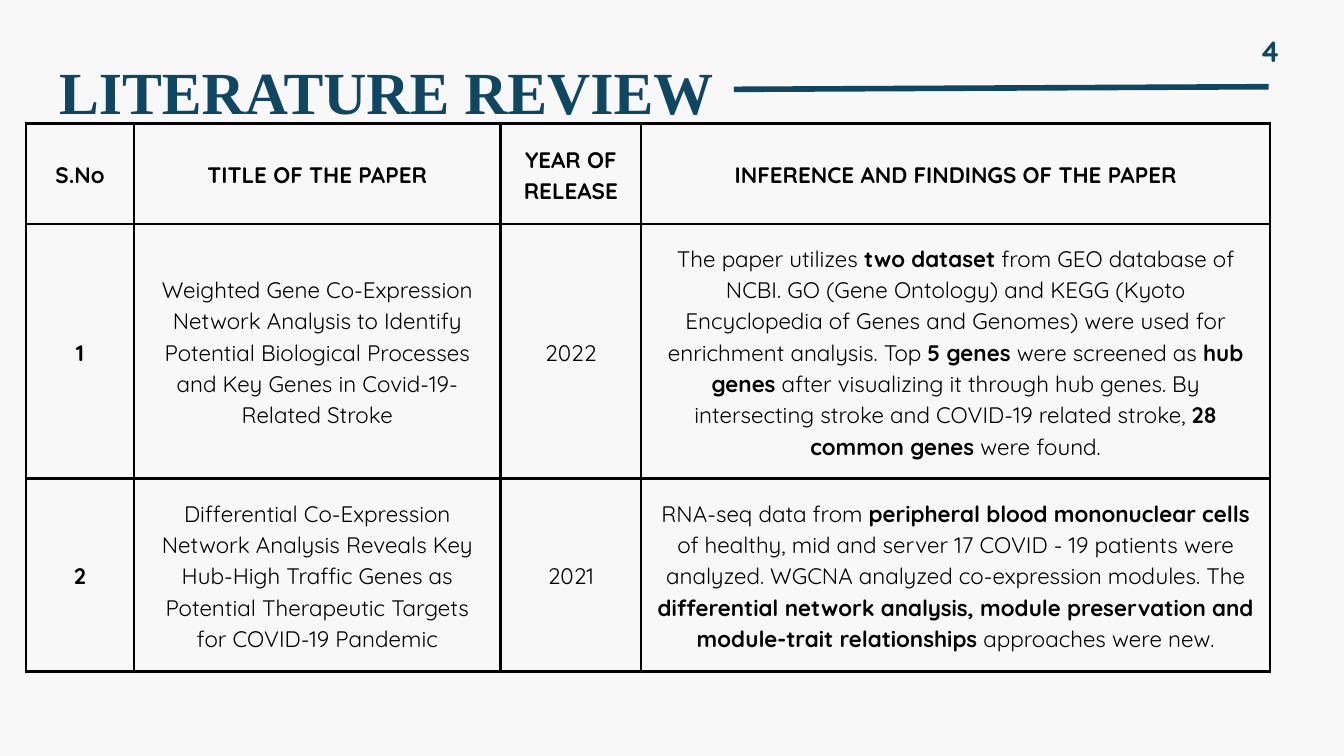
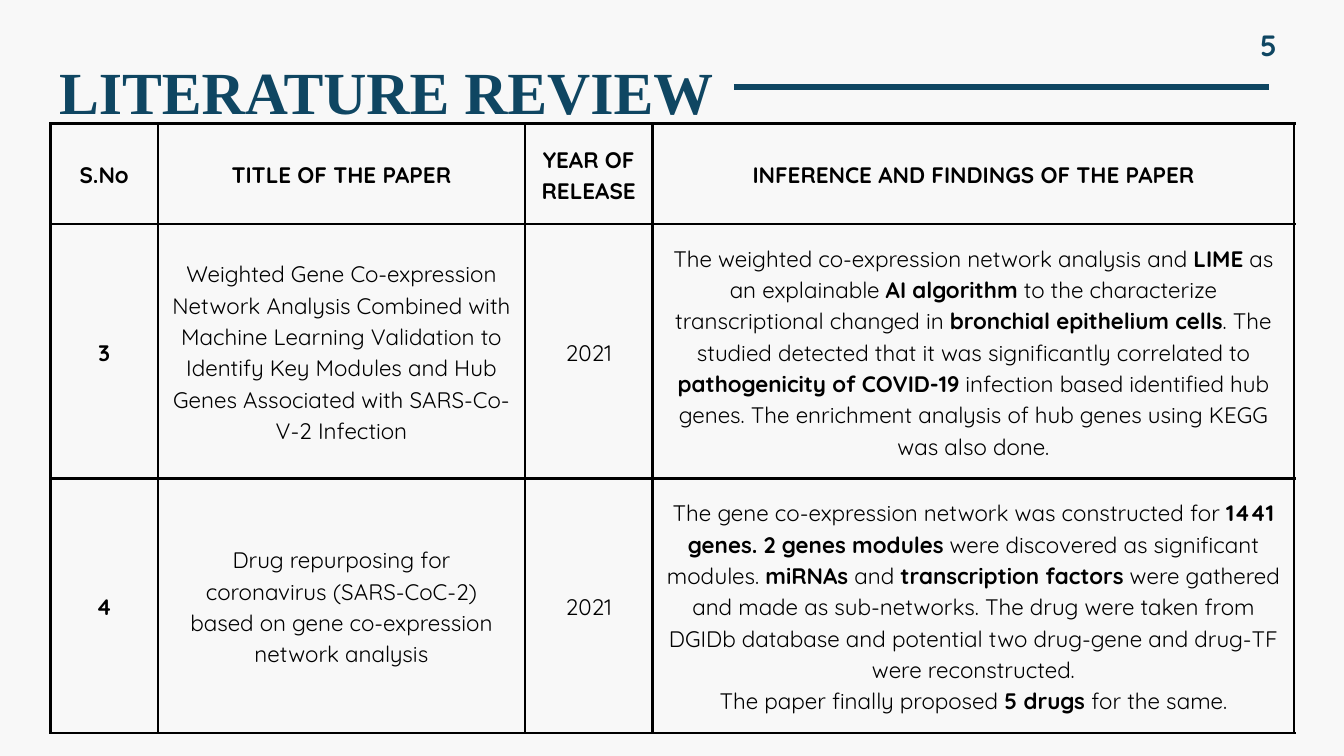
"""Build two literature review slides with a shared heading and table style."""
from pptx import Presentation
from pptx.dml.color import RGBColor
from pptx.enum.shapes import MSO_CONNECTOR as MC
from pptx.enum.text import MSO_ANCHOR as MA, PP_ALIGN as PA
from pptx.oxml import parse_xml
from pptx.oxml.ns import nsdecls
from pptx.util import Inches, Pt
from lxml.etree import SubElement

NAVY, BLACK, PAPER = "0F4662", "000000", "F8F8F8"
BODY, HEAD = "Quicksand", "Times New Roman"
W, H = Inches(20), Inches(11.25)
COL, ROW = W / 100, H / 100
NO_W, TITLE_W, REST_W = 8, 27.3, 57.25
HEADER_H, TALL_H, SHORT_H = 13.24, 33.69, 25.51
TABLE_TOP, RULE_Y = 16.36, 11.47
HEADER = ["*S.No*", "*TITLE OF THE PAPER*", "*YEAR OF RELEASE*",
          "*INFERENCE AND FINDINGS OF THE PAPER*"]

slides = [
    dict(
        number="4", number_at=(91.25, 3.64), rule_start=11.82,
        left=1.95, year_w=10.45, heights=[HEADER_H, TALL_H, SHORT_H],
        papers=[
            ["*1*",
             "Weighted Gene Co-Expression Network Analysis to Identify Potential "
             "Biological Processes and Key Genes in Covid-19-Related Stroke",
             "2022",
             "The paper utilizes *two dataset* from GEO database of NCBI. GO (Gene "
             "Ontology) and KEGG (Kyoto Encyclopedia of Genes and Genomes) were used "
             "for enrichment analysis. Top *5 genes *were screened as *hub genes* "
             "after visualizing it through hub genes. By intersecting stroke and "
             "COVID-19 related stroke, *28 common genes* were found."],
            ["*2*",
             "Differential Co-Expression Network Analysis Reveals Key Hub-High "
             "Traffic Genes as Potential Therapeutic Targets for COVID-19 Pandemic",
             "2021",
             "RNA-seq data from *peripheral blood mononuclear cells* of healthy, mid "
             "and server 17 COVID - 19 patients were analyzed. WGCNA analyzed "
             "co-expression modules. The *differential network analysis, module "
             "preservation and module-trait relationships* approaches were new."],
        ],
    ),
    dict(
        number="5", number_at=(91.15, 2.84), rule_start=RULE_Y,
        left=3.75, year_w=9.5, heights=[HEADER_H, TALL_H, TALL_H],
        papers=[
            ["*3*",
             "Weighted Gene Co-expression Network Analysis Combined with Machine "
             "Learning Validation to Identify Key Modules and Hub Genes Associated "
             "with SARS-Co-V-2 Infection",
             "2021",
             "The weighted co-expression network analysis and* LIME* as an "
             "explainable *AI algorithm* to the characterize transcriptional changed "
             "in *bronchial epithelium cells*. The studied detected that it was "
             "significantly correlated to *pathogenicity of COVID-19* infection based "
             "identified hub genes. The enrichment analysis of hub genes using KEGG "
             "was also done."],
            ["*4*",
             "Drug repurposing for coronavirus (SARS-CoC-2) based on gene "
             "co-expression network analysis",
             "2021",
             "The gene co-expression network was constructed for* 1441 genes. 2 genes "
             "modules* were discovered as significant modules. *miRNAs* and "
             "*transcription factors* were gathered and made as sub-networks. The "
             "drug were taken from DGIDb database and potential two drug-gene and "
             "drug-TF were reconstructed.\n"
             "The paper finally proposed* 5 drugs *for the same."],
        ],
    ),
]


def rgb(color):
    return RGBColor.from_string(color)


def write(tf, text, size, font, color, spacing, align):
    tf.word_wrap = True
    tf.margin_left = tf.margin_right = tf.margin_top = tf.margin_bottom = 0
    for i, line in enumerate(text.split("\n")):
        p = tf.add_paragraph() if i else tf.paragraphs[0]
        p.alignment, p.line_spacing = align, Pt(spacing)
        for j, part in enumerate(line.split("*")):
            if part:
                r = p.add_run()
                r.text = part
                r.font.size, r.font.name = Pt(size), font
                r.font.bold, r.font.color.rgb = j % 2 == 1, rgb(color)


prs = Presentation()
prs.slide_width, prs.slide_height = W, H

for page in slides:
    s = prs.slides.add_slide(prs.slide_layouts[6])
    s.background.fill.solid()
    s.background.fill.fore_color.rgb = rgb(PAPER)

    rule = s.shapes.add_connector(
        MC.STRAIGHT, int(54.6 * COL), int(page["rule_start"] * ROW),
        int(94.4 * COL), int(RULE_Y * ROW))
    rule.line.color.rgb, rule.line.width = rgb(NAVY), Pt(6)
    rule._element.spPr.append(parse_xml(f"<a:effectLst {nsdecls('a')}/>"))

    title = s.shapes.add_textbox(int(4.4 * COL), int(5.6 * ROW),
                                 int(59.2 * COL), int(10.58 * ROW))
    write(title.text_frame, "*LITERATURE REVIEW*", 64, HEAD, NAVY, 89.6, PA.LEFT)

    widths = [NO_W, TITLE_W, page["year_w"], REST_W - page["year_w"]]
    heights = page["heights"]
    tbl = s.shapes.add_table(
        len(heights), len(widths), int(page["left"] * COL), int(TABLE_TOP * ROW),
        int(sum(widths) * COL), int(sum(heights) * ROW)).table
    tbl.first_row = tbl.horz_banding = False
    for column, width in zip(tbl.columns, widths):
        column.width = int(width * COL)
    for row, height, texts in zip(tbl.rows, heights, [HEADER] + page["papers"]):
        row.height = int(height * ROW)
        for cell, text in zip(row.cells, texts):
            write(cell.text_frame, text, 24, BODY, BLACK, 33.6, PA.CENTER)
            cell.vertical_anchor = MA.MIDDLE
            cell.margin_left = cell.margin_right = Inches(0.21)
            cell.margin_top = cell.margin_bottom = Inches(0.21)
            tcPr = cell._tc.get_or_add_tcPr()
            for side in ("lnL", "lnR", "lnT", "lnB"):
                tcPr.append(parse_xml(
                    f'<a:{side} {nsdecls("a")} w="{Pt(3)}"><a:solidFill>'
                    f'<a:srgbClr val="{BLACK}"/></a:solidFill></a:{side}>'))
            cell.fill.background()

    x, y = page["number_at"]
    number = s.shapes.add_textbox(int(x * COL), int(y * ROW),
                                  int(6.5 * COL), int(5.16 * ROW))
    write(number.text_frame, f"*{page['number']}*", 31.4, BODY, NAVY, 44, PA.CENTER)

prs.save("out.pptx")
